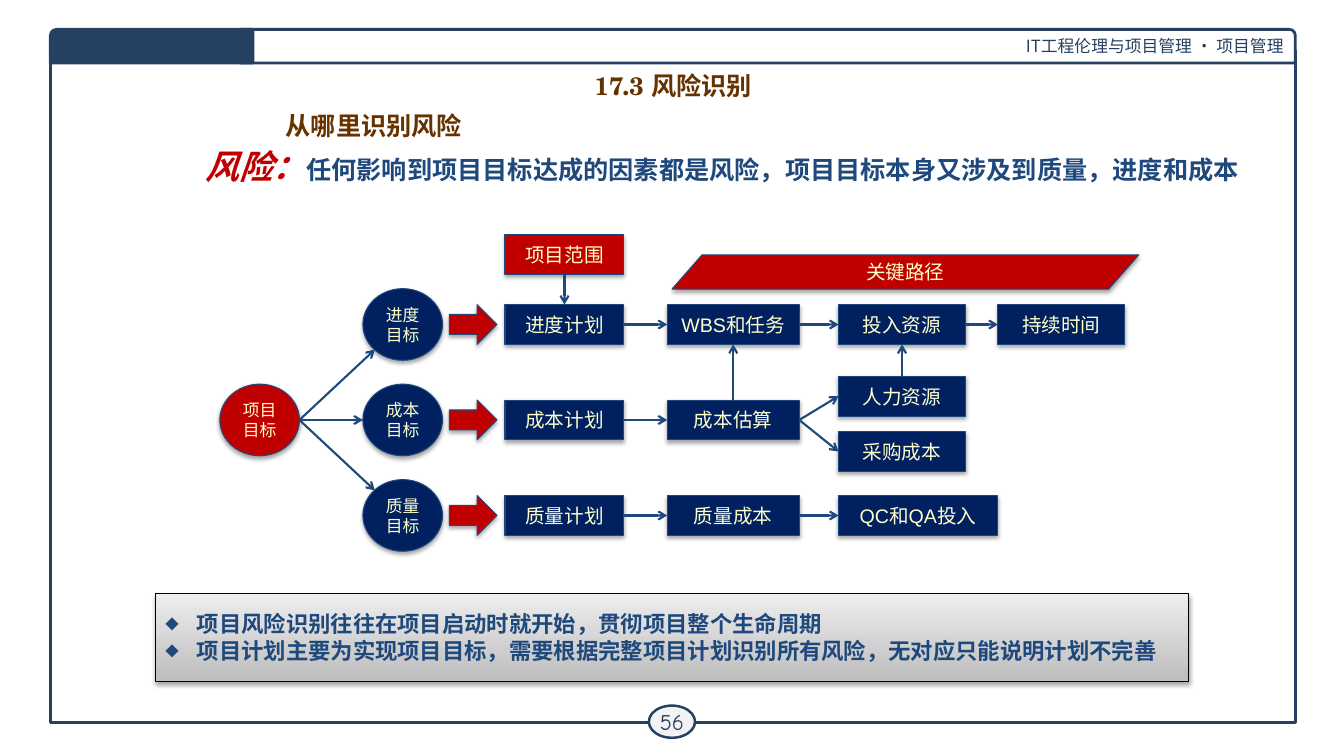
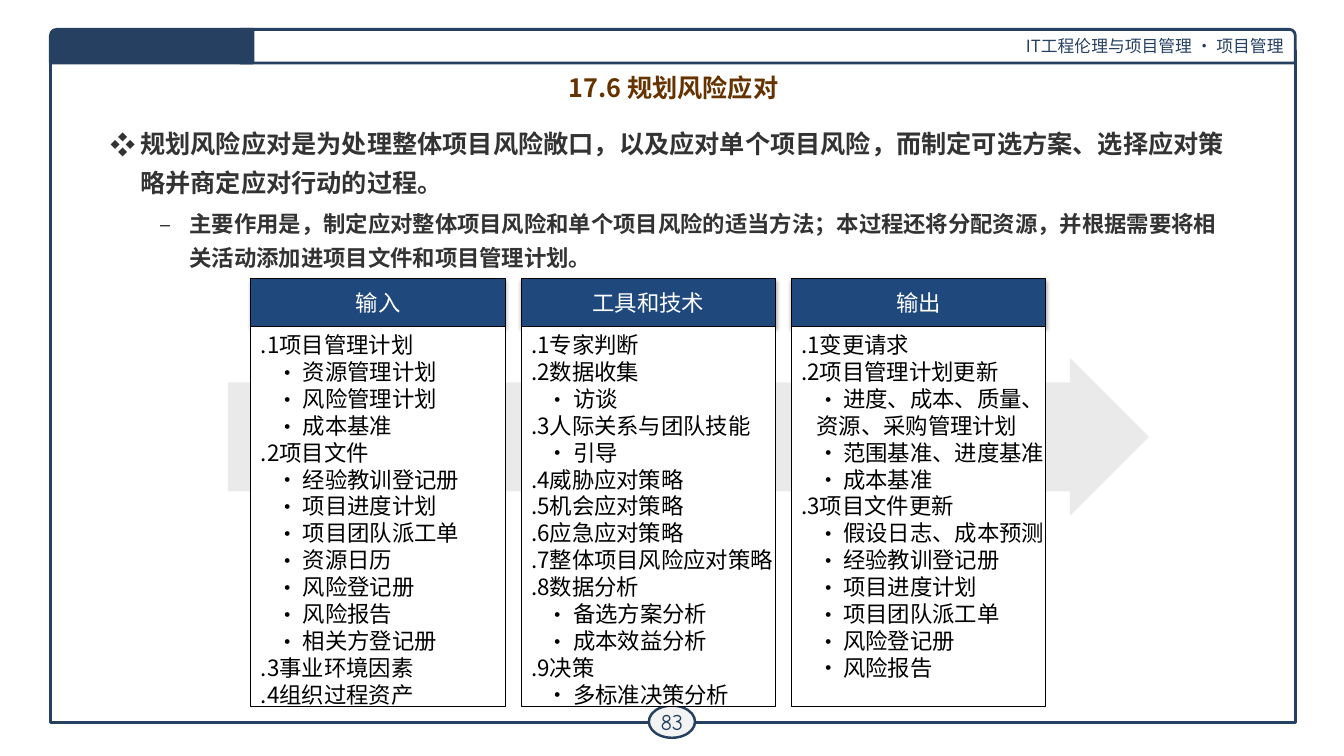
from lxml.etree import SubElement
from pptx import Presentation
from pptx.dml.color import RGBColor
from pptx.enum.shapes import MSO_CONNECTOR, MSO_SHAPE
from pptx.enum.text import MSO_ANCHOR, MSO_AUTO_SIZE, PP_ALIGN
from pptx.oxml.ns import qn
from pptx.util import Pt

COLORS = {
    "frame": "254061", "white": "FFFFFF", "badge": "F3F3F3", "title": "663300",
    "blue": "1F497D", "navy": "002060", "red": "C00000", "cream": "FFFFCC",
    "black": "000000", "body": "333333", "pale": "EAEAEA",
    "band_dark": "BDBDBD", "band_light": "EEEEEE",
}
SANS, LATIN, SERIF, ROUND = "Noto Sans CJK SC", "Arial", "TeX Gyre Schola", "Comic Neue"


def write(frame, text, size, color, face=SANS, bold=False, italic=False,
          align=PP_ALIGN.LEFT, leading=1.2, margin=0, hang=0,
          bullet=None, bullet_size=100, same_line=False):
    para = frame.paragraphs[-1]
    if para.runs and not same_line:
        para = frame.add_paragraph()
    para.alignment = align
    para.line_spacing = Pt(round(size * leading, 1))
    properties = para._p.get_or_add_pPr()
    properties.set("marL", str(Pt(margin)))
    properties.set("indent", str(Pt(-hang)))
    if bullet:
        SubElement(properties, qn("a:buSzPct")).set("val", str(bullet_size * 1000))
        SubElement(properties, qn("a:buFont")).set("typeface", SANS)
        SubElement(properties, qn("a:buChar")).set("char", bullet)
    span = para.add_run()
    span.text = text
    span.font.size = Pt(size)
    span.font.bold = bold
    span.font.italic = italic
    span.font.color.rgb = RGBColor.from_string(COLORS[color])
    span.font.name = face
    SubElement(span._r.get_or_add_rPr(), qn("a:ea")).set("typeface", SANS)
    return para


def draw(page, kind, bounds, fill=None, line=None, width=0.75, shadow=False):
    shape = page.shapes.add_shape(kind, *map(Pt, bounds))
    if fill:
        shape.fill.solid()
        shape.fill.fore_color.rgb = RGBColor.from_string(COLORS[fill])
    else:
        shape.fill.background()
    if line:
        shape.line.color.rgb = RGBColor.from_string(COLORS[line])
        shape.line.width = Pt(width)
    else:
        shape.line.fill.background()
    shape.shadow.inherit = False
    if shadow:
        effects = shape.element.spPr.find(qn("a:effectLst"))
        outer = SubElement(effects, qn("a:outerShdw"), blurRad=str(Pt(3.1)),
                           dist=str(Pt(1.8)), dir="5400000", rotWithShape="0")
        tint = SubElement(outer, qn("a:srgbClr"), val=COLORS["black"])
        SubElement(tint, qn("a:alpha"), val="35000")
    return shape


deck = Presentation()
deck.slide_width, deck.slide_height = Pt(960), Pt(540)
risk_page = deck.slides.add_slide(deck.slide_layouts[5])
response_page = deck.slides.add_slide(deck.slide_layouts[1])

border = draw(risk_page, MSO_SHAPE.RECTANGLE, (36, 36, 889.2, 480.2), None, "frame", 2)
header = draw(risk_page, MSO_SHAPE.ROUND_1_RECTANGLE, (171.4, 21, 753.8, 24),
              "white", "frame", 2)
write(header.text_frame, "IT工程伦理与项目管理 · 项目管理", 12, "frame", align=PP_ALIGN.RIGHT)
tab = draw(risk_page, MSO_SHAPE.ROUND_1_RECTANGLE, (36, 21, 144.7, 24), "frame", "frame", 2)
tab.adjustments[0] = 0.18
tab.element.spPr.find(qn("a:xfrm")).set("flipH", "1")
for number, part in enumerate((border, header, tab), 101):
    part.element.nvSpPr.cNvPr.set("id", str(number))
    deck.slide_master.shapes.element.append(part.element)

for page, number, title, face, bounds in (
    (risk_page, "56", "从哪里识别风险", SERIF, (146.9, 75, 240.5, 34.6)),
    (response_page, "83", "17.6 规划风险应对", SANS, (157, 48, 648, 34.6)),
):
    badge = draw(page, MSO_SHAPE.OVAL, (463.5, 504, 33, 23), "badge", "frame", 1.75)
    frame = badge.text_frame
    frame.margin_left = frame.margin_right = frame.margin_top = frame.margin_bottom = Pt(3)
    frame.word_wrap = False
    write(frame, number, 16, "frame", ROUND, align=PP_ALIGN.CENTER)
    box = page.shapes.title
    box.left, box.top, box.width, box.height = map(Pt, bounds)
    box.text_frame.auto_size = MSO_AUTO_SIZE.NONE
    box.text_frame.vertical_anchor = MSO_ANCHOR.TOP
    write(box.text_frame, title, 18, "title", face, bold=True, align=PP_ALIGN.CENTER)

section = risk_page.shapes.add_textbox(Pt(157), Pt(47), Pt(648), Pt(28))
section.text_frame.word_wrap = True
write(section.text_frame, "17.3 风险识别", 18, "title", SERIF, bold=True,
      align=PP_ALIGN.CENTER)
definition = risk_page.shapes.add_textbox(Pt(139.7), Pt(100.5), Pt(764.6), Pt(36))
definition.text_frame.word_wrap = False
write(definition.text_frame, "风险：", 24, "red", LATIN, bold=True, italic=True)
write(definition.text_frame,
      "任何影响到项目目标达成的因素都是风险，项目目标本身又涉及到质量，进度和成本",
      18, "blue", LATIN, bold=True, leading=1.6, same_line=True)

MIDDLE, PITCH = 300, 68.2
SCHEDULE, COST, QUALITY = (MIDDLE + PITCH * step for step in (-1, 0, 1))
PLAN, WORK, RESOURCE, DURATION = 360.7, 476.6, 599, 712.8
nodes = {}
for label, left, middle, fill in (
    ("项目目标", 157, MIDDLE, "red"),
    ("进度目标", 259.2, SCHEDULE, "navy"),
    ("成本目标", 259.2, COST, "navy"),
    ("质量目标", 259.2, QUALITY, "navy"),
):
    nodes[label] = (left, middle - 25.6, 56.9, 51.2)
    circle = draw(risk_page, MSO_SHAPE.OVAL, nodes[label], fill, "blue", shadow=True)
    circle.text_frame.word_wrap = True
    write(circle.text_frame, label, 12, "cream", LATIN, align=PP_ALIGN.CENTER)

for label, left, middle, width, fill in (
    ("项目范围", PLAN, 182, 85, "red"),
    ("进度计划", PLAN, SCHEDULE, 85, "navy"),
    ("WBS和任务", WORK, SCHEDULE, 94.3, "navy"),
    ("投入资源", RESOURCE, SCHEDULE, 90.7, "navy"),
    ("持续时间", DURATION, SCHEDULE, 90.7, "navy"),
    ("成本计划", PLAN, COST, 85, "navy"),
    ("成本估算", WORK, COST, 94.3, "navy"),
    ("人力资源", RESOURCE, 283, 90.7, "navy"),
    ("采购成本", RESOURCE, 322.5, 90.7, "navy"),
    ("质量计划", PLAN, QUALITY, 85, "navy"),
    ("质量成本", WORK, QUALITY, 94.3, "navy"),
    ("QC和QA投入", RESOURCE, QUALITY, 113.5, "navy"),
):
    nodes[label] = (left, middle - 14.2, width, 28.4)
    step = draw(risk_page, MSO_SHAPE.RECTANGLE, nodes[label], fill, "blue", shadow=True)
    step.text_frame.word_wrap = True
    write(step.text_frame, label, 14, "cream", LATIN, align=PP_ALIGN.CENTER)

for middle in (SCHEDULE, COST, QUALITY):
    draw(risk_page, MSO_SHAPE.RIGHT_ARROW, (321, middle - 14.2, 34, 28.4),
         "red", "blue", shadow=True)

critical = draw(risk_page, MSO_SHAPE.PARALLELOGRAM, (480, 182, 333.5, 24.5),
                "red", "blue", shadow=True)
critical.adjustments[0] = 0.88
write(critical.text_frame, "关键路径", 14, "cream", LATIN, align=PP_ALIGN.CENTER)

SITES = {
    "left": (0, 0.5), "right": (1, 0.5), "top": (0.5, 0), "bottom": (0.5, 1),
    "upper left": (0.15, 0.15), "lower left": (0.15, 0.85),
}
for source, source_site, target, target_site in (
    ("项目目标", "right", "进度目标", "lower left"),
    ("项目目标", "right", "成本目标", "left"),
    ("项目目标", "right", "质量目标", "upper left"),
    ("项目范围", "bottom", "进度计划", "top"),
    ("进度计划", "right", "WBS和任务", "left"),
    ("WBS和任务", "right", "投入资源", "left"),
    ("投入资源", "right", "持续时间", "left"),
    ("成本计划", "right", "成本估算", "left"),
    ("成本估算", "top", "WBS和任务", "bottom"),
    ("成本估算", "right", "人力资源", "left"),
    ("成本估算", "right", "采购成本", "left"),
    ("人力资源", "top", "投入资源", "bottom"),
    ("质量计划", "right", "质量成本", "left"),
    ("质量成本", "right", "QC和QA投入", "left"),
):
    ends = []
    for label, site in ((source, source_site), (target, target_site)):
        left, top, width, height = nodes[label]
        across, down = SITES[site]
        ends += [Pt(left + width * across), Pt(top + height * down)]
    link = risk_page.shapes.add_connector(MSO_CONNECTOR.STRAIGHT, *ends)
    link.line.color.rgb = RGBColor.from_string(COLORS["blue"])
    link.line.width = Pt(1.5)
    SubElement(link.line._get_or_add_ln(), qn("a:tailEnd"), type="arrow")
    SubElement(link.element.spPr, qn("a:effectLst"))

summary = draw(risk_page, MSO_SHAPE.RECTANGLE, (111, 424, 738, 62.6),
               "pale", "black", shadow=True)
summary.fill.gradient()
summary.fill.gradient_angle = 90
for stop, shade in zip(summary.fill.gradient_stops, ("band_dark", "band_light")):
    stop.color.rgb = RGBColor.from_string(COLORS[shade])
summary.text_frame.word_wrap = True
for sentence in (
    "项目风险识别往往在项目启动时就开始，贯彻项目整个生命周期",
    "项目计划主要为实现项目目标，需要根据完整项目计划识别所有风险，无对应只能说明计划不完善",
):
    write(summary.text_frame, sentence, 16, "blue", LATIN, bold=True,
          margin=22.5, hang=22.5, bullet="◆", bullet_size=60)

body = response_page.placeholders[1]
body.left, body.top, body.width, body.height = Pt(72), Pt(82), Pt(816.5), Pt(402)
body.text_frame.auto_size = MSO_AUTO_SIZE.NONE
body.text_frame.vertical_anchor = MSO_ANCHOR.TOP
purpose = write(
    body.text_frame,
    "规划风险应对是为处理整体项目风险敞口，以及应对单个项目风险，而制定可选方案、选择应对策略并商定应对行动的过程。",
    18, "body", bold=True, leading=1.55, margin=21, hang=21, bullet="❖")
purpose.space_before, purpose.space_after = Pt(0), Pt(2.4)
effect = write(
    body.text_frame,
    "主要作用是，制定应对整体项目风险和单个项目风险的适当方法；本过程还将分配资源，并根据需要将相关活动添加进项目文件和项目管理计划。",
    16, "body", bold=True, leading=1.55, margin=56.2, hang=21.6, bullet="–")
effect.level = 1
effect.space_before = Pt(0.4)

flow = draw(response_page, MSO_SHAPE.RIGHT_ARROW, (162.7, 255.6, 658, 113), "pale")
flow.adjustments[0], flow.adjustments[1] = 0.69, 0.5

columns = {
    "输入": (
        ".1项目管理计划", "·资源管理计划", "·风险管理计划", "·成本基准", ".2项目文件",
        "·经验教训登记册", "·项目进度计划", "·项目团队派工单", "·资源日历", "·风险登记册",
        "·风险报告", "·相关方登记册", ".3事业环境因素", ".4组织过程资产"),
    "工具和技术": (
        ".1专家判断", ".2数据收集", "·访谈", ".3人际关系与团队技能", "·引导",
        ".4威胁应对策略", ".5机会应对策略", ".6应急应对策略", ".7整体项目风险应对策略",
        ".8数据分析", "·备选方案分析", "·成本效益分析", ".9决策", "·多标准决策分析"),
    "输出": (
        ".1变更请求", ".2项目管理计划更新", "·进度、成本、质量、", "资源、采购管理计划",
        "·范围基准、进度基准", "·成本基准", ".3项目文件更新", "·假设日志、成本预测",
        "·经验教训登记册", "·项目进度计划", "·项目团队派工单", "·风险登记册", "·风险报告"),
}
for index, (heading, items) in enumerate(columns.items()):
    left = 179.3 + 193 * index
    caption = draw(response_page, MSO_SHAPE.RECTANGLE, (left, 199.2, 181.6, 34),
                   "blue", "black", shadow=True)
    write(caption.text_frame, heading, 16, "white", align=PP_ALIGN.CENTER)
    panel = draw(response_page, MSO_SHAPE.RECTANGLE, (left, 233.2, 181.6, 271.4),
                 "white", "black")
    panel.text_frame.word_wrap = False
    panel.text_frame.vertical_anchor = MSO_ANCHOR.TOP
    for item in items:
        if item.startswith("·"):
            write(panel.text_frame, item[1:], 16, "black", margin=30, hang=18.7, bullet="·")
        else:
            write(panel.text_frame, item, 16, "black",
                  margin=0 if item.startswith(".") else 10.8)

deck.save("out.pptx")
